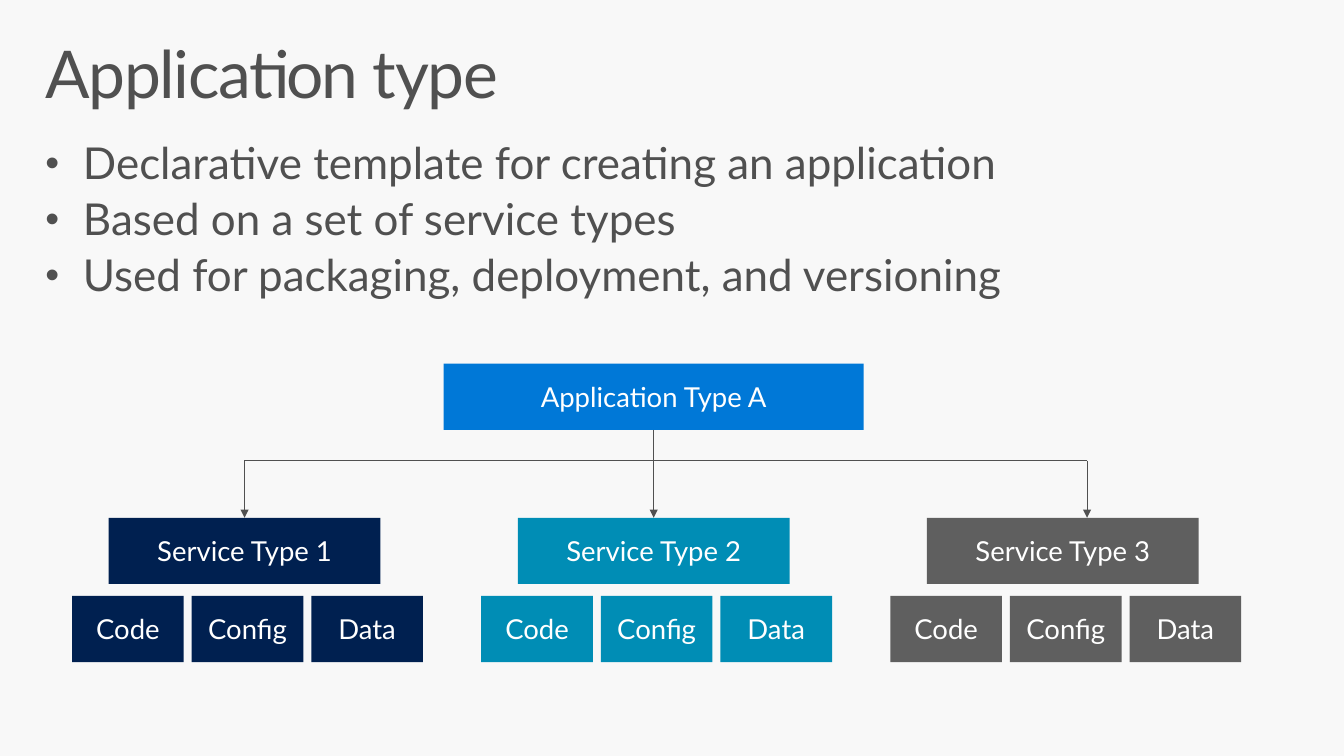
from pptx import Presentation
from pptx.dml.color import RGBColor
from pptx.enum import shapes, text
from pptx.oxml.ns import qn
from pptx.util import Inches, Pt
from lxml import etree

BACKGROUND = RGBColor(0xF8, 0xF8, 0xF8)
GRAY_TEXT = RGBColor(0x50, 0x50, 0x50)
WHITE = RGBColor(0xFF, 0xFF, 0xFF)
BLUE = RGBColor(0x00, 0x78, 0xD7)
NAVY = RGBColor(0x00, 0x20, 0x50)
TEAL = RGBColor(0x00, 0x8D, 0xB5)
GRAY = RGBColor(0x5F, 0x5F, 0x5F)

BULLETS = [
    "Declarative template for creating an application",
    "Based on a set of service types",
    "Used for packaging, deployment, and versioning",
]
BOX_HEIGHT = 0.67
BUS_TOP = 4.66
SERVICE_TOP = 5.24

presentation = Presentation()
presentation.slide_width = Inches(13.6)
presentation.slide_height = Inches(7.65)
slide = presentation.slides.add_slide(presentation.slide_layouts[5])
slide.background.fill.solid()
slide.background.fill.fore_color.rgb = BACKGROUND


def add_box(label, left, top, width, color):
    box = slide.shapes.add_shape(
        shapes.MSO_SHAPE.RECTANGLE,
        Inches(left), Inches(top), Inches(width), Inches(BOX_HEIGHT))
    box.shadow.inherit = False
    box.fill.solid()
    box.fill.fore_color.rgb = color
    box.line.fill.background()
    frame = box.text_frame
    frame.margin_left = frame.margin_right = 0
    frame.vertical_anchor = text.MSO_ANCHOR.MIDDLE
    paragraph = frame.paragraphs[0]
    paragraph.text = label
    paragraph.alignment = text.PP_ALIGN.CENTER
    for name, value in {"name": "Lato", "size": Pt(20)}.items():
        setattr(paragraph.font, name, value)
    paragraph.font.color.rgb = WHITE
    return box


def add_line(start, end, arrow=False):
    connector = slide.shapes.add_connector(
        shapes.MSO_CONNECTOR.STRAIGHT, *map(Inches, start + end))
    connector.line.color.rgb = GRAY_TEXT
    connector.line.width = Pt(0.75)
    properties = connector._element.spPr
    if arrow:
        etree.SubElement(properties.find(qn("a:ln")), qn("a:tailEnd"), type="triangle")
    etree.SubElement(properties, qn("a:effectLst"))
    return connector


# Title and bullets
title = slide.shapes.title
title.left, title.top, title.width, title.height = map(Inches, (0.3, 0.32, 13, 1))
title.text_frame.text = "Application type"
title.text_frame.paragraphs[0].runs[0].font._element.set("spc", "-100")

bullet_box = slide.shapes.add_textbox(*map(Inches, (0.3, 1.33, 13, 1.87)))
bullet_box.text_frame.text = "\n".join(BULLETS)

frame_format = {
    "word_wrap": True, "auto_size": text.MSO_AUTO_SIZE.NONE,
    "vertical_anchor": text.MSO_ANCHOR.TOP,
    "margin_left": Inches(0.16), "margin_right": Inches(0.16),
    "margin_top": Inches(0.1), "margin_bottom": Inches(0.1),
}
for shape, size in ((title, 48), (bullet_box, 32)):
    for name, value in frame_format.items():
        setattr(shape.text_frame, name, value)
    for paragraph in shape.text_frame.paragraphs:
        paragraph.alignment = text.PP_ALIGN.LEFT
        paragraph.line_spacing = 0.9
        font = paragraph.runs[0].font
        font.name, font.size = "Lato", Pt(size)
        font.color.rgb = GRAY_TEXT

for paragraph in bullet_box.text_frame.paragraphs:
    paragraph.space_before = Pt(6.4)
    properties = paragraph._p.get_or_add_pPr()
    properties.set("marL", str(Inches(0.38)))
    properties.set("indent", str(-Inches(0.38)))
    etree.SubElement(properties, qn("a:buSzPct"), val="90000")
    etree.SubElement(properties, qn("a:buFont"), typeface="Arial")
    etree.SubElement(properties, qn("a:buChar"), char="•")

# Application type, its service types and their parts
application = add_box("Application Type A", 4.49, 3.68, 4.25, BLUE)
services = []
for column, color in enumerate((NAVY, TEAL, GRAY)):
    left = 1.1 + 4.14 * column
    services.append(add_box(f"Service Type {column + 1}", left, SERVICE_TOP, 2.75, color))
    for index, part in enumerate(("Code", "Config", "Data")):
        add_box(part, left - 0.37 + 1.21 * index, 6.03, 1.13, color)

# Branching lines; the right arrow lands off the centre of its box
add_line((2.47, BUS_TOP), (11, BUS_TOP))
trunk = add_line((6.615, 4.35), (6.615, BUS_TOP))
trunk.begin_connect(application, 2)
for x, service in zip((2.475, 6.615, 11), services):
    arrow = add_line((x, BUS_TOP), (x, SERVICE_TOP), arrow=True)
    if x < 11:
        arrow.end_connect(service, 0)

presentation.save("out.pptx")
